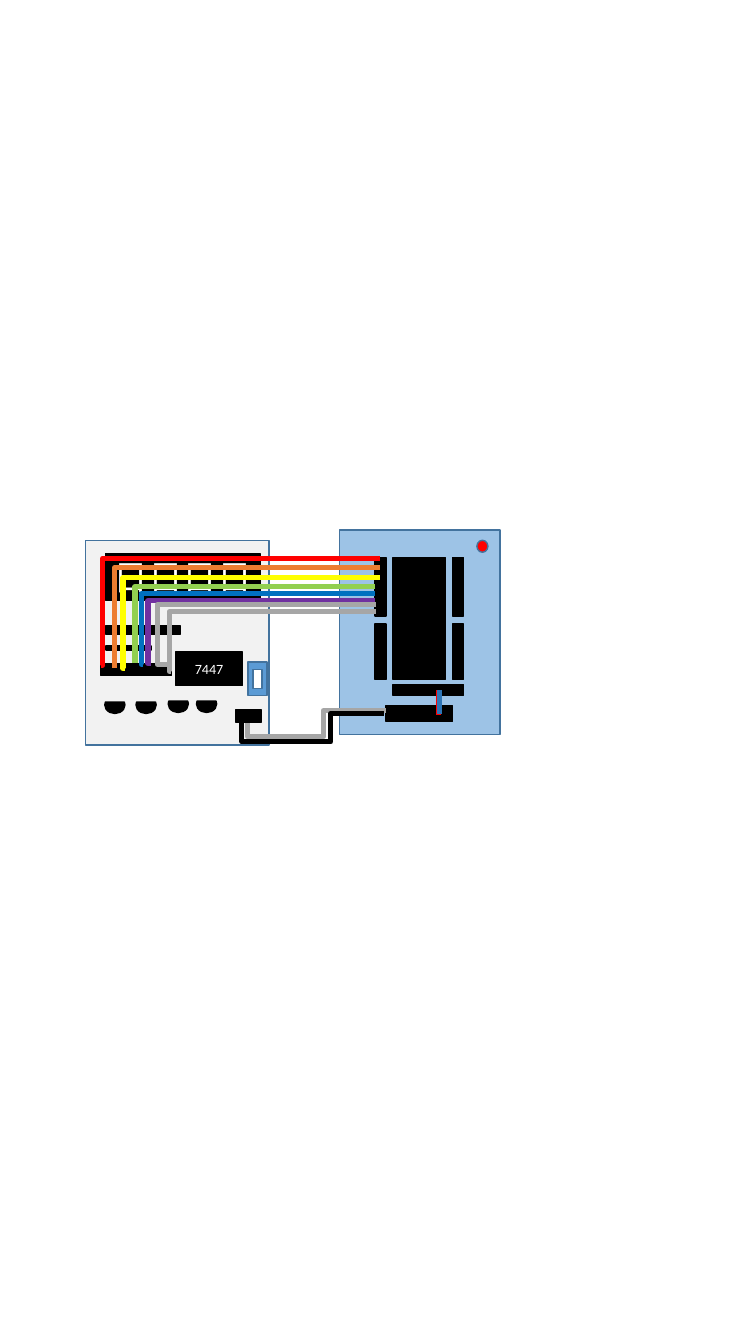
"""Draw a seven-segment display board wired to a microcontroller board."""
import lxml.etree
import pptx
import pptx.dml.color
import pptx.enum.shapes
import pptx.enum.text
import pptx.oxml.ns
import pptx.util

Pt = pptx.util.Pt
qn = pptx.oxml.ns.qn
Preset = pptx.enum.shapes.MSO_SHAPE
Route = pptx.enum.shapes.MSO_CONNECTOR


def rgb(value):
    return pptx.dml.color.RGBColor.from_string(value)


class Diagram:
    black, white, gray, edge = "000000", "FFFFFF", "A6A6A6", "43739E"

    def __init__(self, slide):
        self.slide = slide
        self.shapes = slide.shapes

    def start_board(self):
        self.shapes = self.slide.shapes.add_group_shape().shapes

    def end_board(self):
        self.shapes = self.slide.shapes

    def block(self, left, top, width, height, fill=black, edge=black, preset=Preset.RECTANGLE):
        block = self.shapes.add_shape(preset, Pt(left), Pt(top), Pt(width), Pt(height))
        block.shadow.inherit = False
        block.fill.solid()
        block.fill.fore_color.rgb = rgb(fill)
        block.line.color.rgb = rgb(edge)
        block.line.width = Pt(1)
        return block

    def label(self, block, text, size, typeface):
        frame = block.text_frame
        frame.word_wrap = True
        frame.vertical_anchor = pptx.enum.text.MSO_ANCHOR.MIDDLE
        frame.margin_left = frame.margin_right = Pt(4.3)
        frame.margin_top = frame.margin_bottom = Pt(2.2)
        paragraph = frame.paragraphs[0]
        paragraph.text = text
        paragraph.alignment = pptx.enum.text.PP_ALIGN.CENTER
        font = paragraph.font
        font.size = Pt(size)
        font.color.rgb = rgb(self.white)
        font.name = typeface
        lxml.etree.SubElement(font._rPr, qn("a:ea"), typeface=typeface)

    def transistor(self, left, top):
        chord = self.block(left, top, 14.4, 12.2, preset=Preset.CHORD)
        chord.adjustments[0] = 205.8
        chord.adjustments[1] = 118.2

    def line(self, color, start, end, width, route=Route.STRAIGHT):
        line = self.shapes.add_connector(route, *map(Pt, start + end))
        line.line.color.rgb = rgb(color)
        line.line.width = Pt(width)
        lxml.etree.SubElement(line._element.spPr, qn("a:effectLst"))
        return line

    def wire(self, color, start, end, turn, dip=None):
        wire = self.line(color, start, end, 3.75, Route.ELBOW)
        bends = [(start[0] - turn) / (start[0] - end[0])]
        if dip is not None:
            bends.append((dip - start[1]) / (end[1] - start[1]))
        geometry = wire._element.spPr.find(qn("a:prstGeom"))
        geometry.set("prst", f"bentConnector{len(bends) + 2}")
        guides = geometry.find(qn("a:avLst"))
        for number, bend in enumerate(bends, 1):
            lxml.etree.SubElement(guides, qn("a:gd"), name=f"adj{number}",
                                  fmla=f"val {round(bend * 100000)}")


presentation = pptx.Presentation()
presentation.slide_width = Pt(540)
presentation.slide_height = Pt(960)
diagram = Diagram(presentation.slides.add_slide(presentation.slide_layouts[6]))

diagram.start_board()
diagram.block(61.2, 385.9, 131, 146.2, "F2F2F2", diagram.edge)
diagram.block(168.5, 506.9, 18, 9.4)
display = diagram.block(75.6, 395.3, 110.2, 33.8)
diagram.label(display, "日日日日", 24.8, "Noto Sans CJK SC")
decoder = diagram.block(125.3, 465.8, 48.2, 23.8)
diagram.label(decoder, "7447", 10.1, "Calibri")
diagram.block(177.1, 473, 13.7, 23.8, "5B9BD5", diagram.edge)
diagram.block(180.7, 478.1, 6.5, 13.7, diagram.white, diagram.edge)
diagram.block(75.6, 447.1, 53.3, 5.8)
diagram.block(75.6, 461.5, 32.4, 2.9)
for left, top in [(74.9, 497.5), (97.2, 497.5), (120.2, 496.8), (140.4, 496.8)]:
    diagram.transistor(left, top)
diagram.block(72, 473.8, 50.4, 8.6)

diagram.start_board()
diagram.block(242.6, 378.7, 114.5, 146.2, "9DC3E6", diagram.edge)
diagram.block(280.8, 398.2, 37.4, 87.1)
diagram.block(275.8, 504, 47.5, 11.5)
for left in (267.8, 323.3):
    for top, height in [(398.2, 41.8), (445.7, 39.6)]:
        diagram.block(left, top, 7.9, height)
diagram.block(280.8, 488.9, 50.4, 7.9)
diagram.block(340.6, 385.9, 7.9, 8.6, "FF0000", diagram.edge, Preset.OVAL)
diagram.line("FF0000", (313.2, 493.2), (313.2, 510.5), 3)
diagram.line("2E75B6", (313.9, 493.2), (313.9, 509.8), 3)

diagram.end_board()
for color, start, end, turn in [
    (diagram.gray, (268.6, 437), (122.4, 479.5), 121),
    ("FF0000", (271.4, 398.9), (72, 475.2), 73.4),
    ("ED7D31", (271.4, 405.4), (82.1, 477.4), 82.1),
    ("FFFF00", (271.4, 412.6), (89.3, 477.4), 87.8),
    ("92D050", (267.8, 419), (96.5, 473.8), 96.5),
    ("0070C0", (267.8, 424.1), (102.2, 474.5), 100.8),
    ("7030A0", (267.8, 429.1), (108, 473.8), 105.8),
    (diagram.gray, (268.6, 432), (122.4, 474.5), 112.3),
]:
    diagram.wire(color, start, end, turn)
diagram.wire(diagram.gray, (275.8, 507.6), (177.1, 516.2), 231.1, dip=526.3)
diagram.wire(diagram.black, (274.3, 509.8), (172.8, 515.5), 236.2, dip=529.9)

presentation.save("out.pptx")
